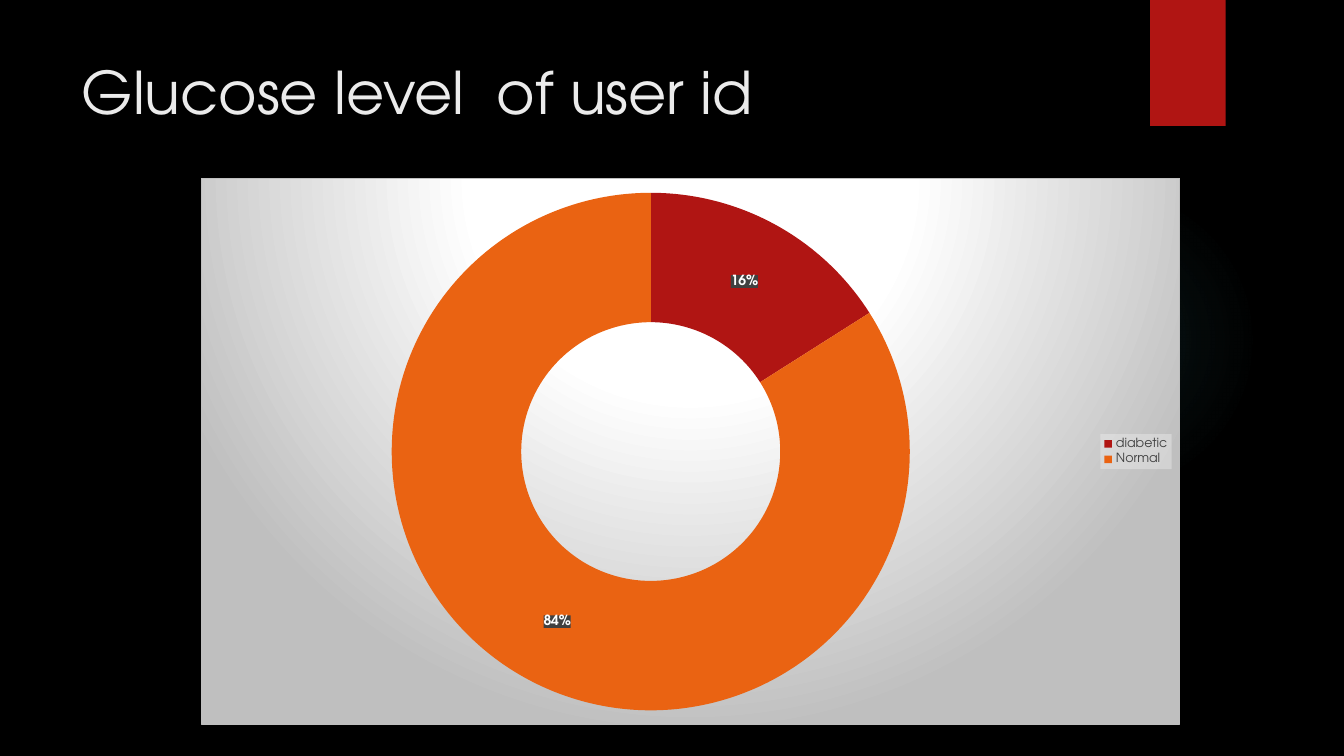
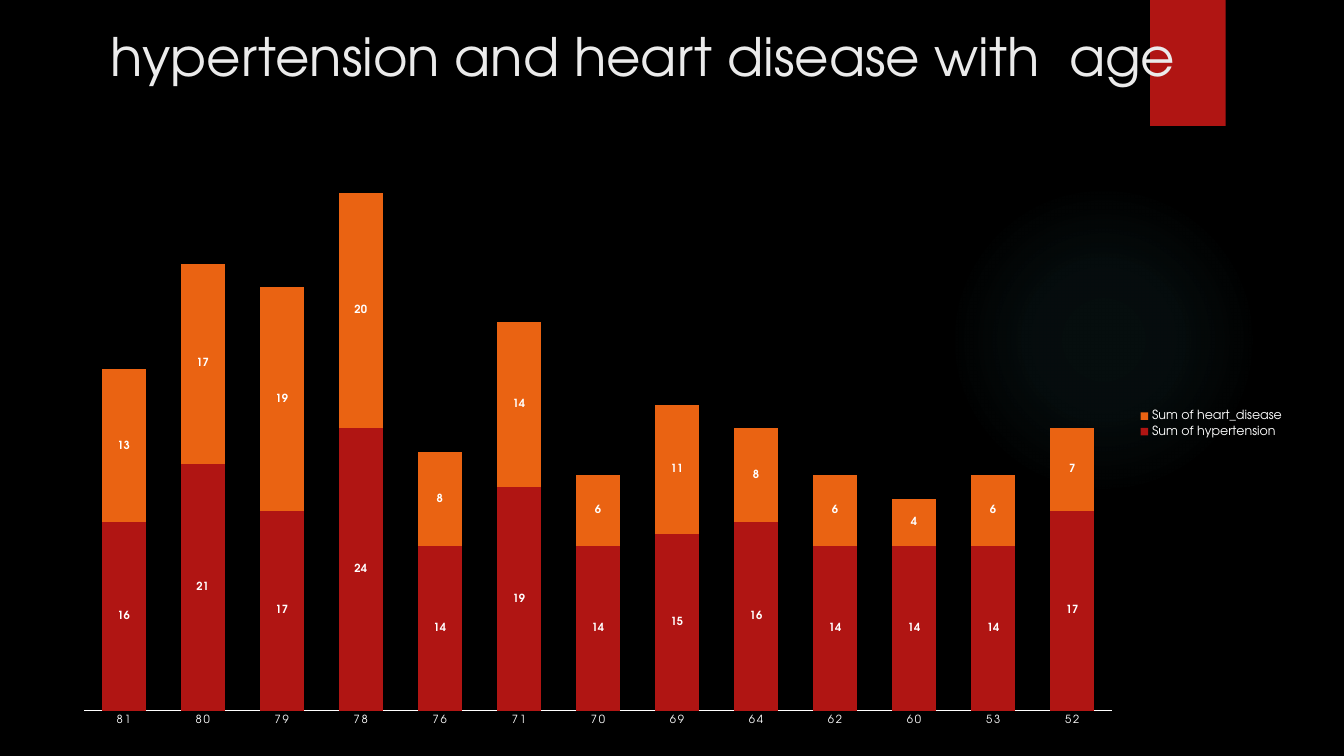
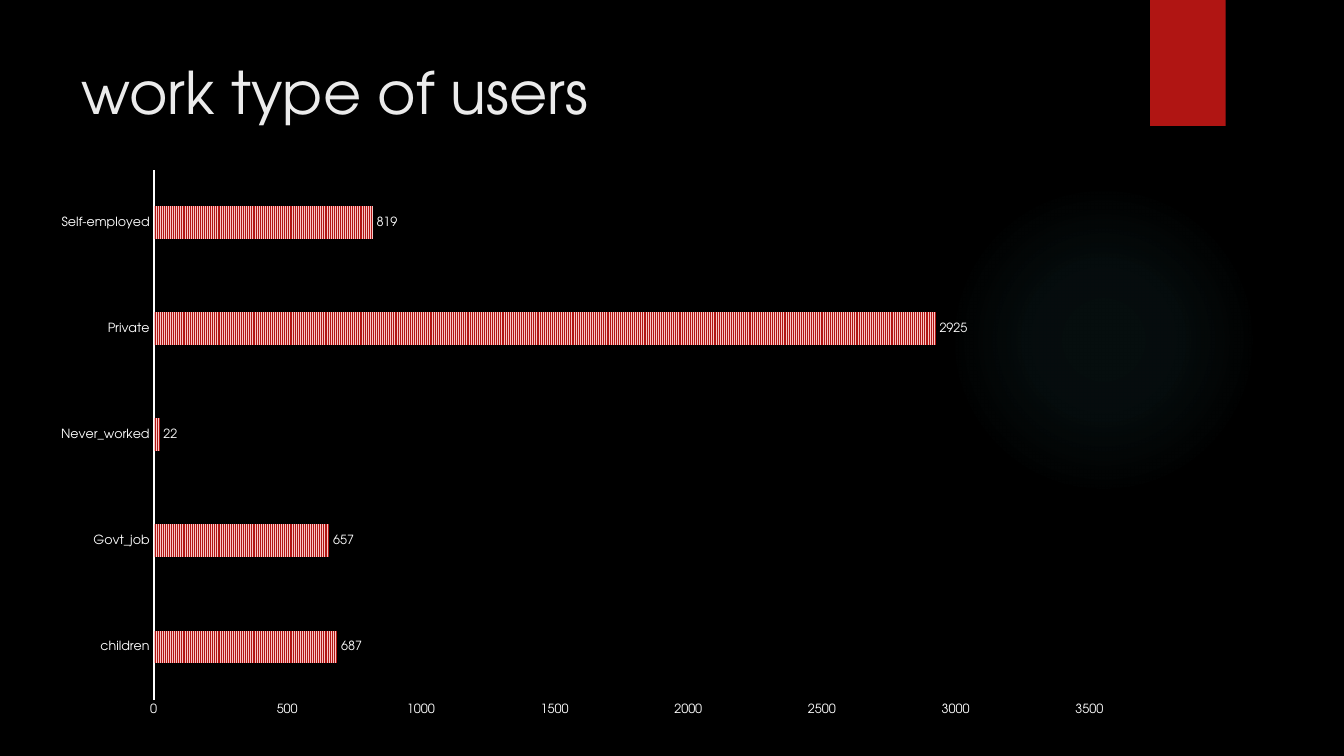
from dataclasses import dataclass

from pptx import Presentation
from pptx.chart.data import CategoryChartData as Data
from pptx.dml.color import RGBColor as RGB
from pptx.enum.chart import XL_CHART_TYPE as Kind
from pptx.enum.chart import XL_LABEL_POSITION as Spot
from pptx.enum.chart import XL_LEGEND_POSITION as Side
from pptx.enum.chart import XL_TICK_MARK as Tick
from pptx.enum.dml import MSO_PATTERN as Pattern
from pptx.enum.shapes import MSO_SHAPE as Form
from pptx.enum.text import MSO_ANCHOR as Anchor
from pptx.enum.text import MSO_AUTO_SIZE as Fit
from pptx.enum.text import PP_ALIGN as Align
from pptx.oxml import parse_xml
from pptx.oxml.ns import nsdecls, qn
from pptx.util import Inches, Pt


@dataclass(frozen=True)
class Theme:
    font: str = "TeX Gyre Adventor"
    black: str = "000000"
    white: str = "FFFFFF"
    title: str = "EBEBEB"
    red: str = "B01513"
    orange: str = "EA6312"
    pink: str = "F9C7C6"
    teal: str = "50B9C1"
    gray: str = "BFBFBF"
    dark: str = "404040"
    pale: str = "F2F2F2"
    head: float = 42
    long: float = 37.8
    base: float = 10
    small: float = 9
    tiny: float = 8


T = Theme()
WIDE, HIGH = Inches(13.33), Inches(7.5)


# Places: left, top, width and height in percent of the slide
def box(left, top, wide, high):
    return [int(size * share / 100) for size, share in
            ((WIDE, left), (HIGH, top), (WIDE, wide), (HIGH, high))]


TITLE = box(5.33, 6.67, 77.18, 20.4)


# Text and paint
def style(font, size, color=T.white, bold=False):
    font.name, font.size, font.bold = T.font, Pt(size), bold
    font.color.rgb = RGB.from_string(color)


def tint(color, alpha=100):
    return f'<a:srgbClr val="{color}"><a:alpha val="{alpha * 1000}"/></a:srgbClr>'


def solid(color, alpha=100):
    return f"<a:solidFill>{tint(color, alpha)}</a:solidFill>"


def radial(stops, top=50, base=50):
    marks = "".join(f'<a:gs pos="{at * 1000}">{tint(color, alpha)}</a:gs>'
                    for at, color, alpha in stops)
    return (f'<a:gradFill {nsdecls("a")}><a:gsLst>{marks}</a:gsLst>'
            f'<a:path path="circle"><a:fillToRect l="50000" t="{top * 1000}" '
            f'r="50000" b="{base * 1000}"/></a:path></a:gradFill>')


def paint(part, fill, line="<a:ln><a:noFill/></a:ln>"):
    """Give a chart part with text its own background."""
    part.find(qn("c:txPr")).addprevious(parse_xml(
        f'<c:spPr {nsdecls("c", "a")}>{fill}{line}</c:spPr>'))


# Shared look, kept on the master
def add_mark(slide, master, form, place, order):
    mark = slide.shapes.add_shape(form, *place)
    mark.shadow.inherit = False
    mark.line.fill.background()
    mark.fill.solid()
    mark.fill.fore_color.rgb = RGB.from_string(T.red)
    mark.element.nvSpPr.cNvPr.set("id", str(20 + order))
    master.shapes.element.insert(2 + order, mark.element)
    return mark.element.spPr


def dress(master, slide):
    fill = master.background.fill
    fill.solid()
    fill.fore_color.rgb = RGB.from_string(T.black)

    glow = add_mark(slide, master, Form.OVAL, box(70.56, 24.4, 23.1, 41.07), 0)
    flat = glow.find(qn("a:solidFill"))
    glow.replace(flat, parse_xml(radial(
        [(0, T.teal, 7), (36, T.teal, 6), (69, T.teal, 0)])))

    tab = add_mark(slide, master, Form.RECTANGLE, box(85.58, 0, 5.62, 16.67), 1)
    tab.find(qn("a:effectLst")).append(parse_xml(
        f'<a:outerShdw {nsdecls("a")} blurRad="{Pt(3)}" dist="{Pt(2)}" '
        f'dir="5400000" rotWithShape="0">{tint(T.black, 45)}</a:outerShdw>'))


def add_title(slide, text, place=TITLE, size=T.head):
    title = slide.shapes.title
    title.left, title.top, title.width, title.height = place
    frame = title.text_frame
    frame.text = text
    frame.word_wrap, frame.auto_size = True, Fit.NONE
    frame.vertical_anchor = Anchor.TOP
    line = frame.paragraphs[0]
    line.alignment = Align.LEFT
    style(line.runs[0].font, size, T.title)


# Charts
def add_chart(slide, kind, place, cats, rows, fill="<a:noFill/>", **edge):
    data = Data()
    data.categories = cats
    for name, vals in rows:
        data.add_series(name, vals)
    chart = slide.shapes.add_chart(kind, *place, data).chart
    chart.has_title = chart.has_legend = False
    style(chart.font, T.base)
    paint(chart.element, fill, **edge)
    chart.plots[0].vary_by_categories = False
    return chart


def add_legend(chart, color=T.white):
    chart.has_legend = True
    key = chart.legend
    key.position, key.include_in_layout = Side.RIGHT, False
    style(key.font, T.small, color)


def add_labels(row, size, spot=None, bold=False):
    tags = row.data_labels
    style(tags.font, size, bold=bold)
    tags.show_value = True
    if spot is not None:
        tags.position = spot
    return tags


def set_axis(axis, size, line=None):
    axis.has_major_gridlines = False
    axis.major_tick_mark = axis.minor_tick_mark = Tick.NONE
    style(axis.tick_labels.font, size)
    if line:
        axis.format.line.color.rgb = RGB.from_string(T.white)
        axis.format.line.width = Pt(line)
    else:
        axis.format.line.fill.background()


def set_fill(part, color):
    part.format.fill.solid()
    part.format.fill.fore_color.rgb = RGB.from_string(color)
    part.format.line.fill.background()


# Slides
def draw_ring(slide):
    add_title(slide, "Glucose level  of user id")
    chart = add_chart(
        slide, Kind.DOUGHNUT, box(14.93, 23.6, 72.9, 72.27),
        ["diabetic", "Normal"], [("Series 1", [16, 84])],
        fill=radial([(0, T.white, 100), (39, T.white, 100), (100, T.gray, 100)],
                    -80, 180),
        line=f'<a:ln w="{Pt(0.75)}">{solid(T.gray)}</a:ln>')
    chart.plots[0].vary_by_categories = True
    ring = chart.plots[0].series[0]
    for spot, color in enumerate((T.red, T.orange)):
        set_fill(ring.points[spot], color)
    tags = add_labels(ring, T.base, bold=True)
    tags.show_value, tags.show_percentage = False, True
    tags.number_format, tags.number_format_is_linked = "0%", False
    paint(chart.element.find(".//" + qn("c:dLbls")), solid(T.dark, 90))
    add_legend(chart, T.dark)
    paint(chart.element.find(".//" + qn("c:legend")), solid(T.pale, 39))


def draw_stack(slide):
    add_title(slide, "hypertension and heart disease with  age",
              box(7.5, 2.4, 85, 12.13), T.long)
    chart = add_chart(
        slide, Kind.COLUMN_STACKED, box(4.43, 14.53, 91.88, 83.07),
        "81 80 79 78 76 71 70 69 64 62 60 53 52".split(),
        [("Sum of hypertension",
          [16, 21, 17, 24, 14, 19, 14, 15, 16, 14, 14, 14, 17]),
         ("Sum of heart_disease",
          [13, 17, 19, 20, 8, 14, 6, 11, 8, 6, 4, 6, 7])])
    plot = chart.plots[0]
    plot.gap_width, plot.overlap = 79, 100
    for row, color in zip(plot.series, (T.red, T.orange)):
        set_fill(row, color)
        add_labels(row, T.tiny, Spot.CENTER, True)
    set_axis(chart.category_axis, T.tiny, 0.75)
    # Loose letter spacing on the ages
    ages = chart.element.find(".//" + qn("c:catAx"))
    ages.find(".//" + qn("a:defRPr")).set("spc", "120")
    chart.value_axis.has_major_gridlines = False
    chart.value_axis.visible = False
    add_legend(chart)


def draw_bars(slide):
    add_title(slide, "work type of users")
    chart = add_chart(
        slide, Kind.BAR_CLUSTERED, box(2.93, 20.93, 80.78, 75.2),
        ["children", "Govt_job", "Never_worked", "Private", "Self-employed"],
        [("Series 1", [687, 657, 22, 2925, 819])])
    plot = chart.plots[0]
    plot.gap_width, plot.overlap = 227, -48
    bars = plot.series[0]
    bars.invert_if_negative = False
    fill = bars.format.fill
    fill.patterned()
    fill.pattern = Pattern.NARROW_VERTICAL
    fill.fore_color.rgb = RGB.from_string(T.red)
    fill.back_color.rgb = RGB.from_string(T.pink)
    bars.format.line.fill.background()
    add_labels(bars, T.small, Spot.OUTSIDE_END)
    set_axis(chart.category_axis, T.small, 1.5)
    set_axis(chart.value_axis, T.small)


def main():
    deck = Presentation()
    deck.slide_width, deck.slide_height = WIDE, HIGH
    plain = deck.slide_layouts[5]
    for order, draw in enumerate((draw_ring, draw_stack, draw_bars)):
        slide = deck.slides.add_slide(plain)
        if order == 0:
            dress(deck.slide_master, slide)
        draw(slide)
    deck.save("out.pptx")


if __name__ == "__main__":
    main()
